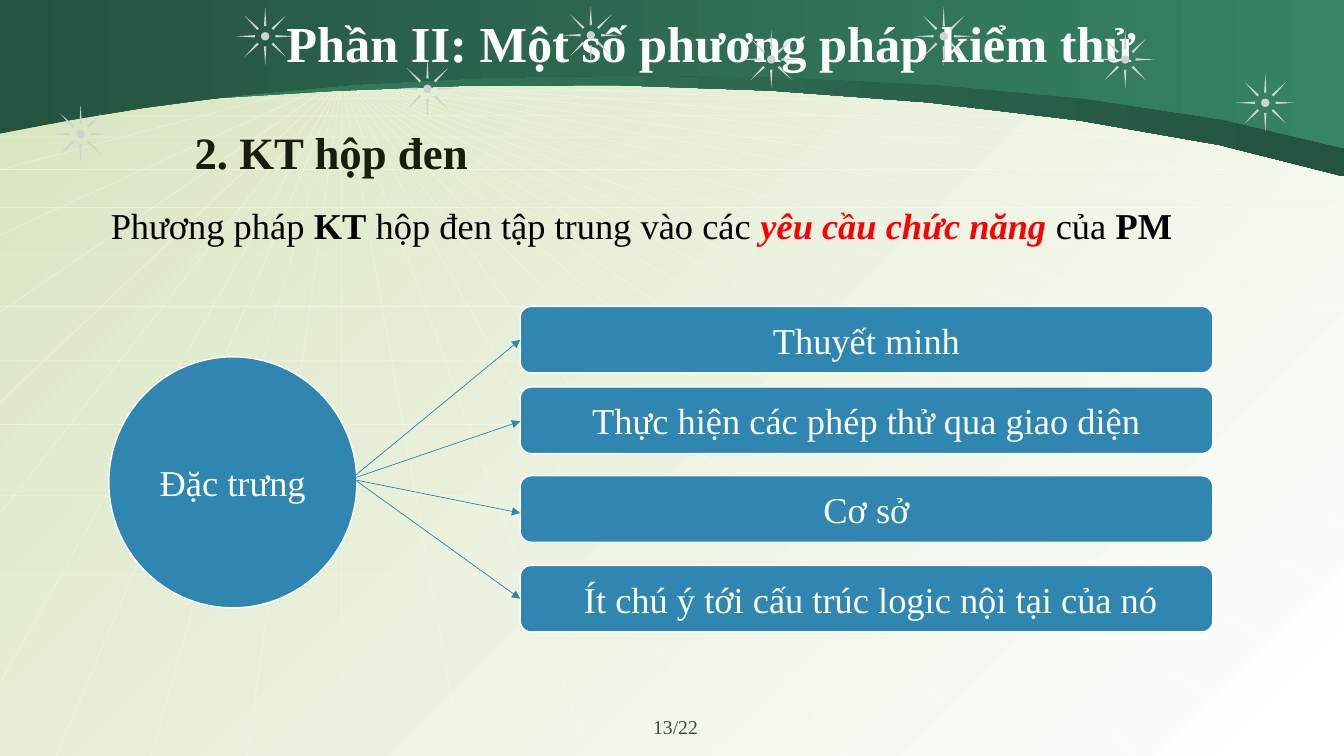
from pptx import Presentation
from pptx.util import Inches, Pt
from pptx.dml.color import RGBColor
from pptx.enum.shapes import MSO_CONNECTOR, MSO_SHAPE
from pptx.enum.text import MSO_ANCHOR, PP_ALIGN
from pptx.oxml.ns import qn
from lxml import etree

LINE = MSO_CONNECTOR.STRAIGHT
SUN, OVAL, ROUND = MSO_SHAPE.SUN, MSO_SHAPE.OVAL, MSO_SHAPE.ROUNDED_RECTANGLE
MIDDLE, TOP = MSO_ANCHOR.MIDDLE, MSO_ANCHOR.TOP
LEFT, CENTER, JUSTIFY = PP_ALIGN.LEFT, PP_ALIGN.CENTER, PP_ALIGN.JUSTIFY

# Grid of one-inch columns and rows
COLS, ROWS = 13.33, 7.5
FONT = "Times New Roman"
HEX = {"pale": "D7E4BE", "white": "FFFFFF", "light": "368463",
       "deep": "24533F", "star": "D1D1D1", "blue": "2F86B1",
       "black": "000000", "red": "FF0000", "head": "181E0C",
       "page": "335338"}


def rgb(name):
    return RGBColor.from_string(HEX[name])


def blend(fill, first, last, angle=0):
    fill.gradient()
    fill.gradient_angle = angle
    for stop, name in zip(fill.gradient_stops, (first, last)):
        stop.color.rgb = rgb(name)


def style(run, size, color, bold=False, italic=False):
    font = run.font
    font.name, font.size = FONT, Pt(size)
    font.bold, font.italic = bold, italic
    font.color.rgb = rgb(color)


def add_line(owner, start, end, color, width):
    line = owner.shapes.add_connector(LINE, *map(Inches, start + end))
    line.line.color.rgb = rgb(color)
    line.line.width = Pt(width)
    etree.SubElement(line.line._get_or_add_ln().getparent(), qn("a:effectLst"))
    return line


def add_form(slide, kind, box, color, edge=None):
    form = slide.shapes.add_shape(kind, *map(Inches, box))
    form.shadow.inherit = False
    form.fill.solid()
    form.fill.fore_color.rgb = rgb(color)
    if edge:
        form.line.color.rgb = rgb(edge)
        form.line.width = Pt(1)
    else:
        form.line.fill.background()
    return form


def add_label(form, text, size, color, bold=False, align=CENTER, anchor=MIDDLE):
    frame = form.text_frame
    frame.word_wrap = True
    frame.vertical_anchor = anchor
    frame.text = text
    para = frame.paragraphs[0]
    para.alignment = align
    style(para.runs[0], size, color, bold)


def add_text(slide, box, *args, **more):
    area = slide.shapes.add_textbox(*map(Inches, box))
    add_label(area, *args, **more)


def add_rays(slide, box):
    """Fan of rays from a hub, crossed by level lines."""
    x, y, w, h = box
    hub = (x + 3.41, y + 0.78)
    feet = [0.58, 1.52, 2.47, 3.41, 4.6, 5.87, 7.14, 8.41, 9.86, 11.29, 12.82]
    right = [1, 1.23, 1.54, 1.84, 2.22, 2.61, 3.07, 3.53, 4.06, 4.59,
             5.2, 5.89, 6.8]
    left = [0.78, 0.97, 1.16, 1.69, 2.34, 3.11, 4.01, 5.12, 6.81]
    levels = [0.84, 0.9, 0.98, 1.15, 1.36, 1.68, 2.06, 2.53, 3.04, 3.58,
              4.21, 4.92, 5.7]
    pairs = [(hub, (x + foot, y + h)) for foot in feet]
    pairs += [(hub, (x + w, y + side)) for side in right]
    pairs += [(hub, (x, y + side)) for side in left]
    pairs += [((x, y + row), (x + w, y + row)) for row in levels]
    fan = slide.shapes.add_group_shape()
    for start, end in pairs:
        ray = add_line(fan, start, end, "white", 0.25)
        # Transparency
        tint = ray.line._get_or_add_ln().find(".//" + qn("a:srgbClr"))
        etree.SubElement(tint, qn("a:alpha"), val="60000")


def curve(points, steps=6):
    """Points along a cubic Bezier curve."""
    for i in range(1, steps + 1):
        t = i / steps
        u = 1 - t
        parts = (u ** 3, 3 * u * u * t, 3 * u * t * t, t ** 3)
        yield tuple(Inches(sum(k * p[axis] for k, p in zip(parts, points)))
                    for axis in (0, 1))


def add_wave(slide, box, knots, first, last):
    """Band with a flat top and a lower edge of two curves."""
    x, y, w, h = box
    low = [(x + kx, y + ky) for kx, ky in knots]
    path = slide.shapes.build_freeform(Inches(x), Inches(y))
    spots = [tuple(map(Inches, low[0])), *curve(low[:4]), *curve(low[3:]),
             (Inches(x + w), Inches(y))]
    path.add_line_segments(spots, close=True)
    wave = path.convert_to_shape()
    wave.shadow.inherit = False
    wave.line.fill.background()
    blend(wave.fill, first, last)


def add_banner(slide, box):
    x, y, w, h = box
    add_wave(slide, box, [(0, 1.19), (0.17, 1.18), (1.8, 0.93), (4.65, 0.85),
                          (7.5, 0.78), (11.09, 1.06), (w, h)],
             "light", "deep")
    add_wave(slide, box, [(0, 1.33), (0.17, 1.31), (2.04, 0.85), (4.87, 0.77),
                          (7.71, 0.69), (11.09, 0.81), (w, 1.47)],
             "deep", "light")
    add_text(slide, (x + 2.57, y + 0.07, 9, 0.7),
             "Phần II: Một số phương pháp kiểm thử", 36, "white", bold=True)


def add_stars(slide, box):
    x, y, w, h = box
    size = 0.58
    for dx, dy in ((10.87, 0.3), (0.51, 1.04), (2.34, 0.07), (3.95, 0.59),
                   (5.57, 0.06), (7.36, 0.3), (9.07, 0.07), (12.26, 0.73)):
        star = add_form(slide, SUN, (x + dx, y + dy, size, size), "star")
        star.adjustments[0] = 0.429


def add_intro(slide, box):
    x, y, w, h = box
    add_text(slide, (x + 0.72, y, 9.6, 0.64), " 2. KT hộp đen", 32, "head",
             bold=True, align=LEFT, anchor=TOP)
    area = slide.shapes.add_textbox(*map(Inches, (x, y + 0.56, w, 0.76)))
    area.text_frame.word_wrap = True
    para = area.text_frame.paragraphs[0]
    para.alignment = JUSTIFY
    para.line_spacing = 1.5
    for text, color, bold, italic in (
            ("Phương pháp ", "black", False, False),
            ("KT", "black", True, False),
            (" hộp đen tập trung vào các ", "black", False, False),
            ("yêu cầu chức năng ", "red", True, True),
            ("của ", "black", False, False),
            ("PM", "black", True, False)):
        run = para.add_run()
        run.text = text
        style(run, 26, color, bold, italic)


def add_traits(slide, box):
    """Circle with arrows to its four traits."""
    x, y, w, h = box
    hub = add_form(slide, OVAL, (x, y + 0.5, 2.46, 2.49), "blue", "white")
    add_label(hub, "Đặc trưng", 26, "white")
    tall = 0.66
    for text, top, start, drop, align in (
            ("Thuyết minh", 0, 1.68, 0, CENTER),
            ("Thực hiện các phép thử qua giao diện", 0.8, 1.7, 0.01, CENTER),
            ("Cơ sở", 1.68, 1.72, 0.04, CENTER),
            ("Ít chú ý tới cấu trúc logic nội tại của nó", 2.57, 1.72, 0,
             JUSTIFY)):
        bar = add_form(slide, ROUND, (x + 4.08, y + top, w - 4.08, tall),
                       "blue", "white")
        add_label(bar, text, 26, "white", align=align)
        if align == JUSTIFY:
            bar.text_frame.margin_left = Inches(0.6)
        arrow = add_line(slide, (x + 2.44, y + start),
                         (x + 4.08, y + top + tall / 2 + drop), "blue", 0.5)
        if not drop:
            arrow.end_connect(bar, 1)
        etree.SubElement(arrow.line._get_or_add_ln(), qn("a:tailEnd"),
                         type="triangle")


def main():
    deck = Presentation()
    deck.slide_width, deck.slide_height = Inches(COLS), Inches(ROWS)
    slide = deck.slides.add_slide(deck.slide_layouts[6])
    blend(slide.background.fill, "pale", "white", 315)
    add_rays(slide, (-0.02, 0, COLS, ROWS))
    add_banner(slide, (-0.02, 0, COLS + 0.02, 1.75))
    # Page number
    add_text(slide, (4.59, 7.04, 4.22, 0.35), "13/22", 14, "page", anchor=TOP)
    add_intro(slide, (1, 1.19, 11.79, 1.32))
    add_stars(slide, (0, 0, COLS, 1.75))
    add_traits(slide, (1.08, 3.04, 10.95, 3.23))
    deck.save("out.pptx")


if __name__ == "__main__":
    main()
